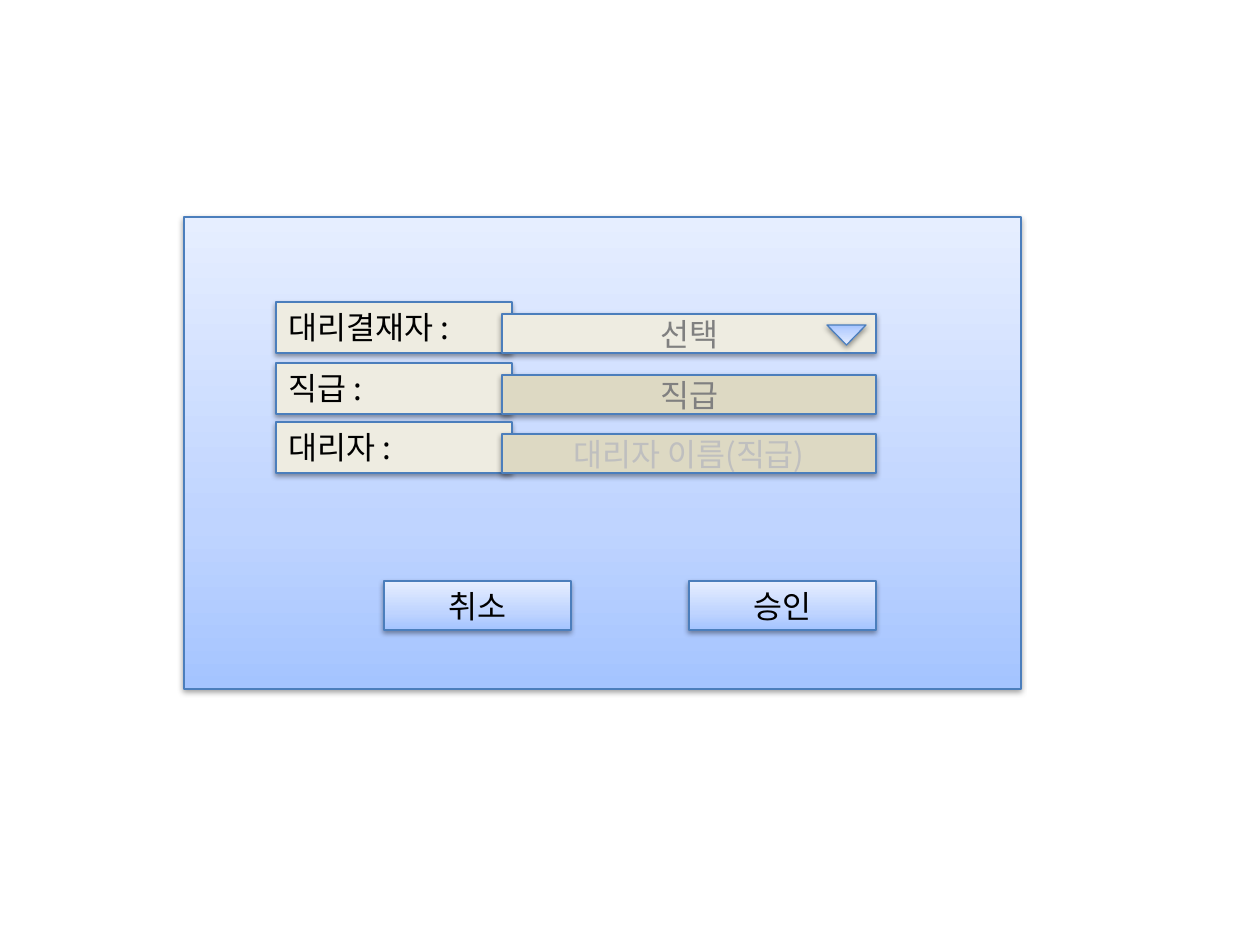
from lxml import etree
from pptx import Presentation
from pptx import util as u
from pptx.dml import color
from pptx.enum import shapes, text
from pptx.oxml import ns

SCALE = 914400 / 126
GLASS = [(0, "A4C4FF"), (35, "BFD4FF"), (100, "E6EEFF")]
IVORY, SAND = "EEECE1", "DDD9C3"
BLACK, GRAY, PALE = "000000", "808080", "BFBFBF"


def px(length):
    """Turn pixels into EMU."""
    return u.Emu(round(length * SCALE))


def rgb(value):
    """Turn a hex string into a colour."""
    return color.RGBColor.from_string(value)


def add_xml(parent, tag, **attributes):
    """Append a DrawingML element and return it."""
    return etree.SubElement(parent, ns.qn(tag), attributes)


class Dialog:
    """Holds the style and the slide of the approval dialog."""

    font, size, border = "Noto Sans CJK KR", 18, "4B7EBC"

    def __init__(self, slide):
        """Remember the slide to draw on."""
        self.slide = slide

    def paint(self, shape, fill):
        """Fill a shape with one colour or with gradient stops."""
        if isinstance(fill, str):
            shape.fill.solid()
            shape.fill.fore_color.rgb = rgb(fill)
            return
        shape.fill.gradient()
        shape.fill.gradient_angle = 90
        gradient = shape._element.spPr.find(ns.qn("a:gradFill"))
        stops = gradient.find(ns.qn("a:gsLst"))
        for stop in list(stops):
            stops.remove(stop)
        for position, value in fill:
            stop = add_xml(stops, "a:gs", pos=str(position * 1000))
            add_xml(stop, "a:srgbClr", val=value)

    def cast_shadow(self, shape):
        """Give a shape a soft shadow below it."""
        shape.shadow.inherit = False
        effects = shape._element.spPr.find(ns.qn("a:effectLst"))
        shadow = add_xml(effects, "a:outerShdw", blurRad=str(u.Pt(3.1)),
                         dist=str(u.Pt(1.6)), dir="5400000", rotWithShape="0")
        tint = add_xml(shadow, "a:srgbClr", val="000000")
        add_xml(tint, "a:alpha", val="38000")

    def box(self, left, top, width, height, fill, kind=shapes.MSO_SHAPE.RECTANGLE):
        """Draw a bordered shape with a shadow."""
        shape = self.slide.shapes.add_shape(kind, px(left), px(top), px(width), px(height))
        self.paint(shape, fill)
        shape.line.color.rgb = rgb(self.border)
        shape.line.width = u.Pt(0.75)
        self.cast_shadow(shape)
        return shape

    def add_words(self, shape, words, ink, align, anchor):
        """Put one line of text into a shape."""
        frame = shape.text_frame
        frame.word_wrap = True
        frame.vertical_anchor = anchor
        paragraph = frame.paragraphs[0]
        paragraph.alignment = align
        run = paragraph.add_run()
        run.text = words
        run.font.name, run.font.size = self.font, u.Pt(self.size)
        run.font.color.rgb = rgb(ink)
        add_xml(run.font._element, "a:ea", typeface=self.font)

    def label(self, top, words):
        """Draw the label of a row."""
        shape = self.box(276, top, 236, 51, IVORY)
        self.add_words(shape, words, BLACK, text.PP_ALIGN.LEFT, text.MSO_ANCHOR.TOP)

    def centred(self, left, top, width, height, fill, words, ink):
        """Draw a field or button with centred text."""
        shape = self.box(left, top, width, height, fill)
        self.add_words(shape, words, ink, text.PP_ALIGN.CENTER, text.MSO_ANCHOR.MIDDLE)

    def arrow(self, left, top, width, height):
        """Draw the triangle that opens the list."""
        shape = self.box(left, top, width, height, GLASS, shapes.MSO_SHAPE.ISOSCELES_TRIANGLE)
        shape.rotation = 180


presentation = Presentation()
presentation.slide_width, presentation.slide_height = px(1260), px(945)
dialog = Dialog(presentation.slides.add_slide(presentation.slide_layouts[6]))

dialog.box(184, 217, 837, 472, GLASS)
rows = [
    (302, "대리결재자 :", "선택", IVORY, GRAY),
    (363, "직급 :", "직급", SAND, GRAY),
    (422, "대리자 :", "대리자 이름(직급)", SAND, PALE),
]
for top, name, value, fill, ink in rows:
    dialog.label(top, name)
    dialog.centred(502, top + 12, 374, 39, fill, value, ink)
for left, name in [(384, "취소"), (689, "승인")]:
    dialog.centred(left, 581, 187, 49, GLASS, name, BLACK)
dialog.arrow(827, 325, 39, 20)

presentation.save("out.pptx")
